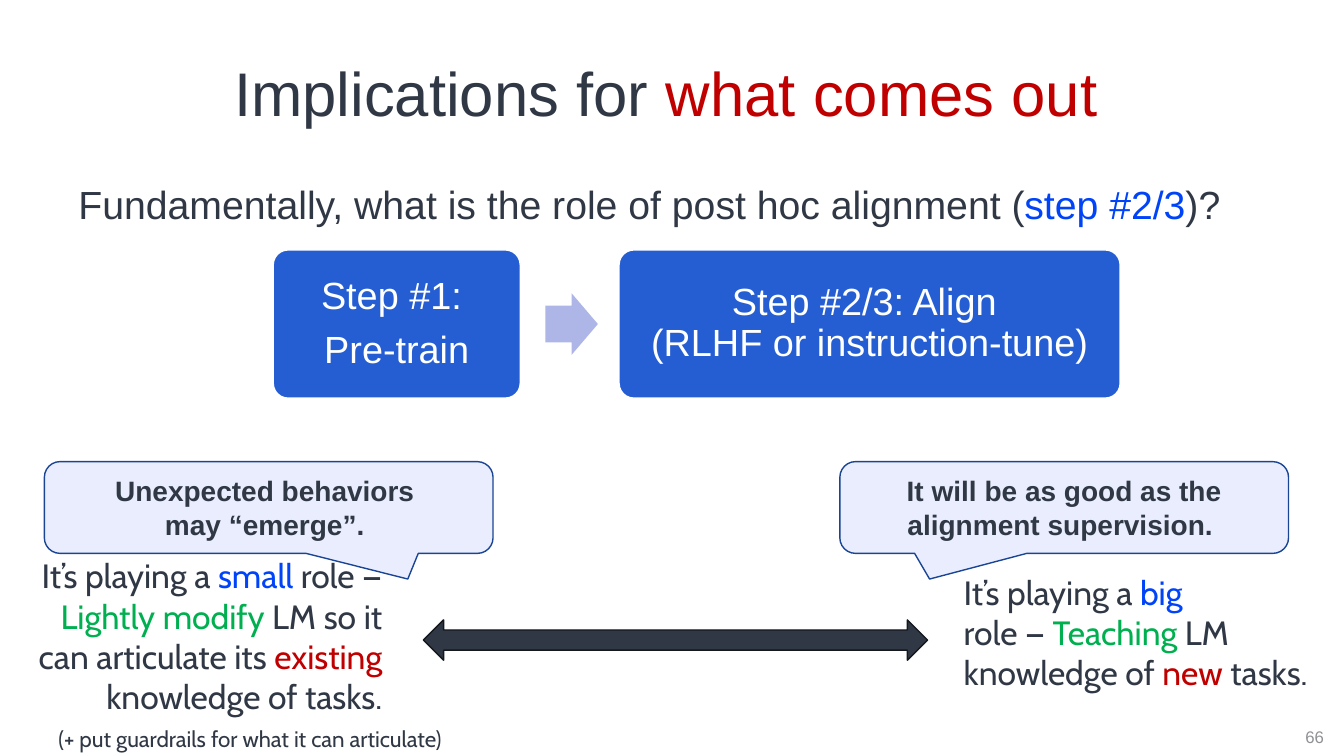
from pptx import Presentation
from pptx import util as u
from pptx.dml.color import RGBColor
from pptx.enum import shapes, text
from lxml import etree

PX = 9144
INK, BLUE, RED, GREEN, WHITE = "303845", "0044F9", "C00000", "00B050", "FFFFFF"
LEFT, MID, RIGHT = text.PP_ALIGN.LEFT, text.PP_ALIGN.CENTER, text.PP_ALIGN.RIGHT
FORM = shapes.MSO_SHAPE


def px(*vals):
    """Turn px lengths into EMU."""
    return [u.Emu(v * PX) for v in vals]


def tint(fmt, hue):
    """Give a fill, line or font colour a hex value."""
    if hasattr(fmt, "solid"):
        fmt.solid()
        fmt = fmt.fore_color
    fmt.rgb = RGBColor.from_string(hue)


def put(obj, vals):
    """Set attributes from a dict."""
    for key, val in vals.items():
        setattr(obj, key, val)


def write(frame, paras, size, align=LEFT, face="Arial", hue=INK, bold=False,
          mid=False, pad=None, form=None):
    """Fill a text frame; a paragraph is a list of (words, colour) or words."""
    anchor = text.MSO_ANCHOR.MIDDLE if mid else text.MSO_ANCHOR.TOP
    put(frame, {"word_wrap": True, "vertical_anchor": anchor})
    if pad:
        sides = ("left", "top", "right", "bottom")
        put(frame, {f"margin_{side}": px(pad)[0] for side in sides})
    for i, parts in enumerate(paras):
        para = frame.paragraphs[0] if i == 0 else frame.add_paragraph()
        put(para, {"alignment": align, **(form or {})})
        for part in parts:
            words, shade = part if isinstance(part, tuple) else (part, hue)
            for j, line in enumerate(words.split("\n")):
                if j:
                    para.add_line_break()
                run = para.add_run()
                run.text = line
                put(run.font, {"name": face, "size": u.Pt(size), "bold": bold})
                tint(run.font.color, shade)


def note(slide, box, paras, size, **form):
    """Add a text box."""
    write(slide.shapes.add_textbox(*px(*box)).text_frame, paras, size, **form)


def block(slide, kind, box, fill, line=None, adj=()):
    """Add a flat preset shape."""
    item = slide.shapes.add_shape(kind, *px(*box))
    item.shadow.inherit = False
    tint(item.fill, fill)
    if line:
        tint(item.line.fill, line)
        item.line.width = u.Pt(1)
    else:
        item.line.fill.background()
    for i, val in enumerate(adj):
        item.adjustments[i] = val
    return item


def head(slide, box):
    """Place the title and the question under it."""
    x, y, w, h = box
    title = slide.shapes.title
    put(title, dict(zip(("left", "top", "width", "height"), px(x, y, w, h))))
    write(title.text_frame, [["Implications for ", ("what comes out ", RED)]],
          44, align=MID, mid=True, form={"line_spacing": 0.9})
    ask = ["Fundamentally, what is the role of post hoc alignment (",
           ("step #2/3", BLUE), ")?"]
    note(slide, (x + 46, y + 133, 1210, 57), [ask], 28)


def steps(slide, box):
    """Place the two training steps with an arrow between them."""
    x, y, w, h = box
    wide = 497
    cards = [(x, 245, [["Step #1: "], ["Pre-train"]]),
             (x + w - wide, wide, [["Step #2/3: Align \n(RLHF or instruction-tune)"]])]
    for left, width, paras in cards:
        card = block(slide, FORM.ROUNDED_RECTANGLE, (left, y, width, h),
                     "255ED3", WHITE, [0.1])
        write(card.text_frame, paras, 27, align=MID, hue=WHITE, mid=True, pad=16,
              form={"line_spacing": 0.9, "space_after": u.Pt(9.45)})
    block(slide, FORM.RIGHT_ARROW, (x + 270, y + 43, 52, 61), "ADB6E6", adj=[0.6, 0.5])


def scale(slide, box):
    """Place the two views, their callouts and the arrow that joins them."""
    x, y, w, h = box
    small = [["It’s playing a ", ("small", BLUE), " role —"],
             [("Lightly modify", GREEN), " LM so it can articulate its ",
              ("existing", RED), " knowledge of tasks."]]
    big = [["It’s playing a ", ("big", BLUE), " role\u00a0—\u00a0", ("Teaching ", GREEN),
            "LM knowledge of ", ("new ", RED), "tasks."]]
    wide = 445
    calls = [(x + w - wide, -0.3, "It will be as good as the alignment supervision. "),
             (x, 0.31, "Unexpected behaviors \nmay “emerge”. ")]
    for left, tip, words in calls:
        call = block(slide, FORM.ROUNDED_RECTANGULAR_CALLOUT, (left, y, wide, 91),
                     "EAEDFD", "1A4595", [tip, 0.78, 0.17])
        write(call.text_frame, [[words]], 20, align=MID, bold=True, mid=True)
    note(slide, (x + 902, y + 104, 372, 131), big, 24, face="Cabin")
    note(slide, (x - 41, y + 88, 386, 172), small, 24, align=RIGHT, face="Cabin")
    note(slide, (x + 4, y + 256, 667, 36),
         [["(+ put guardrails for what it can articulate)"]], 16, face="Cabin")
    block(slide, FORM.LEFT_RIGHT_ARROW, (x + 376, y + 157, 500, 40), INK, "15191E")


def main():
    """Build and save the slide."""
    deck = Presentation()
    deck.slide_width, deck.slide_height = px(1333, 750)
    slide = deck.slides.add_slide(deck.slide_layouts[5])
    head(slide, (22, 41, 1294, 110))
    steps(slide, (271, 248, 840, 147))
    scale(slide, (44, 458, 1234, 292))
    note(slide, (1275, 711, 58, 40), [["66"]], 12, align=MID, hue="8F9194", mid=True)
    deck.save("out.pptx")


if __name__ == "__main__":
    main()
